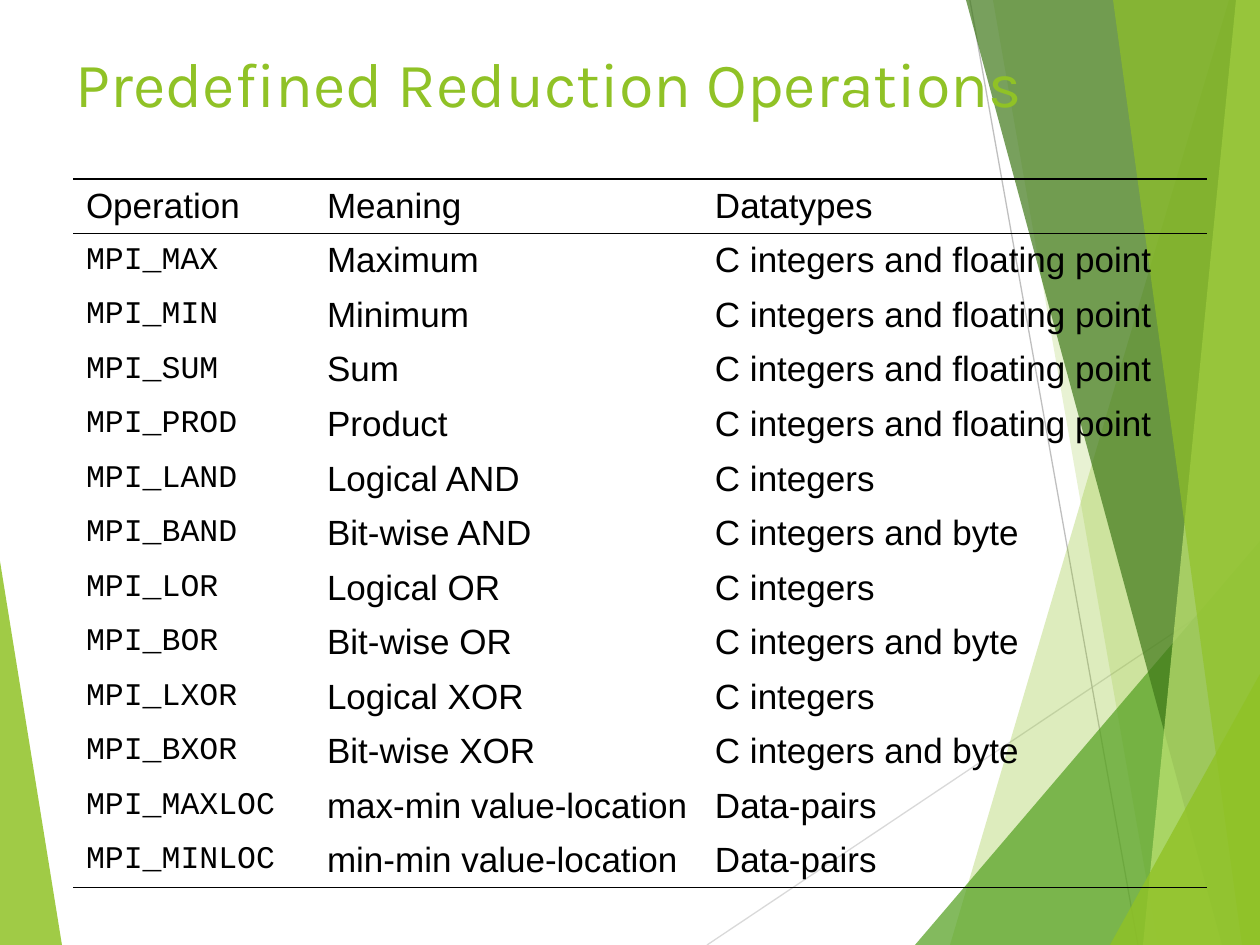
import pptx
import pptx.dml.color
import pptx.enum.shapes
import pptx.enum.text
import pptx.oxml
import pptx.oxml.ns
import pptx.util

PX = 914400 / 126
WIDE, HIGH = 1260, 945
COLORS = {"lime": "90C226", "leaf": "54A021", "pine": "3F7819", "pale": "C0E474",
          "ink": "000000", "silver": "D9D9D9", "gray": "BFBFBF"}

# Colour, opacity in percent, corners
SHARDS = [
    ("lime", 85, [(0, 561), (62, HIGH), (0, HIGH)]),
    ("lime", 30, [(1229, 0), (950, HIGH), (WIDE, HIGH), (WIDE, 0)]),
    ("lime", 20, [(993, 0), (1158, HIGH), (WIDE, HIGH), (WIDE, 0)]),
    ("leaf", 72, [(915, HIGH), (WIDE, 541), (WIDE, HIGH)]),
    ("pine", 70, [(966, 0), (1222, HIGH), (WIDE, HIGH), (WIDE, 0)]),
    ("pale", 70, [(1236, 0), (1143, HIGH), (WIDE, HIGH), (WIDE, 0)]),
    ("lime", 65, [(1113, 0), (1242, HIGH), (WIDE, HIGH), (WIDE, 0)]),
    ("lime", 80, [(1110, HIGH), (WIDE, 674), (WIDE, HIGH)]),
]
RAYS = [("silver", (707, HIGH), (WIDE, 575)), ("gray", (970, 0), (1138, HIGH))]

NUMBERS = "C integers and floating point"
WHOLE = "C integers"
BYTES = "C integers and byte"
PAIRS = "Data-pairs"
ROWS = [
    ("Operation", "Meaning", "Datatypes"),
    ("MPI_MAX", "Maximum", NUMBERS),
    ("MPI_MIN", "Minimum", NUMBERS),
    ("MPI_SUM", "Sum", NUMBERS),
    ("MPI_PROD", "Product", NUMBERS),
    ("MPI_LAND", "Logical AND", WHOLE),
    ("MPI_BAND", "Bit-wise AND", BYTES),
    ("MPI_LOR", "Logical OR", WHOLE),
    ("MPI_BOR", "Bit-wise OR", BYTES),
    ("MPI_LXOR", "Logical XOR", WHOLE),
    ("MPI_BXOR", "Bit-wise XOR", BYTES),
    ("MPI_MAXLOC", "max-min value-location", PAIRS),
    ("MPI_MINLOC", "min-min value-location", PAIRS),
]
COLUMNS = [241, 388, 505]


def emu(px):
    return pptx.util.Emu(round(px * PX))


def rgb(name):
    return pptx.dml.color.RGBColor.from_string(COLORS[name])


def child(parent, tag, **attrs):
    node = pptx.oxml.parse_xml(f"<a:{tag} {pptx.oxml.ns.nsdecls('a')}/>")
    for key, value in attrs.items():
        node.set(key, str(value))
    parent.append(node)
    return node


def write(para, text, font, size, color):
    run = para.add_run()
    run.text = text
    run.font.name = font
    run.font.size = pptx.util.Pt(size)
    run.font.color.rgb = rgb(color)


def add_shard(slide, left, top, color, alpha, points):
    pen = slide.shapes.build_freeform(*points[0], scale=PX)
    pen.add_line_segments(points[1:], close=True)
    shard = pen.convert_to_shape(emu(left), emu(top))
    shard.shadow.inherit = False
    shard.line.fill.background()
    shard.fill.solid()
    shard.fill.fore_color.rgb = rgb(color)
    tint = shard.fill._xPr.find(".//" + pptx.oxml.ns.qn("a:srgbClr"))
    child(tint, "alpha", val=alpha * 1000)


def add_ray(slide, left, top, color, start, end):
    ray = slide.shapes.add_connector(
        pptx.enum.shapes.MSO_CONNECTOR.STRAIGHT,
        emu(left + start[0]), emu(top + start[1]),
        emu(left + end[0]), emu(top + end[1]))
    ray.line.color.rgb = rgb(color)
    ray.line.width = pptx.util.Pt(0.75)
    child(ray.element.spPr, "effectLst")


def add_backdrop(slide, left, top):
    """Draw the overlapping green shards at both slide edges."""
    first, *rest = SHARDS
    add_shard(slide, left, top, *first)
    for ray in RAYS:
        add_ray(slide, left, top, *ray)
    for shard in rest:
        add_shard(slide, left, top, *shard)


def set_title(slide, left, top, width, height):
    title = slide.shapes.title
    title.left, title.top = emu(left), emu(top)
    title.width, title.height = emu(width), emu(height)
    frame = title.text_frame
    frame.word_wrap = True
    frame.auto_size = pptx.enum.text.MSO_AUTO_SIZE.NONE
    frame.vertical_anchor = pptx.enum.text.MSO_ANCHOR.TOP
    para = frame.paragraphs[0]
    para.alignment = pptx.enum.text.PP_ALIGN.LEFT
    write(para, "Predefined Reduction Operations", "Karla", 36, "lime")
    # Bring the title in front of the backdrop
    title.element.getparent().append(title.element)


def set_rules(cell, ruled):
    """Draw 1 pt rules on the sides in ruled and clear the others."""
    props = cell._tc.get_or_add_tcPr()
    for side in "LRTB":
        edge = child(props, "ln" + side, w=pptx.util.Pt(1))
        if side in ruled:
            child(child(edge, "solidFill"), "srgbClr", val=COLORS["ink"])
        else:
            child(edge, "noFill")


def add_grid(slide, left, top, width, height):
    grid = slide.shapes.add_table(len(ROWS), len(COLUMNS), emu(left), emu(top),
                                  emu(width), emu(height)).table
    grid.horz_banding = False
    for column, span in zip(grid.columns, COLUMNS):
        column.width = emu(width * span / sum(COLUMNS))
    for i, row in enumerate(ROWS):
        ruled = {0: "TB", 1: "T", len(ROWS) - 1: "B"}.get(i, "")
        for j, text in enumerate(row):
            cell = grid.cell(i, j)
            set_rules(cell, ruled)
            cell.fill.background()
            cell.vertical_anchor = pptx.enum.text.MSO_ANCHOR.MIDDLE
            cell.margin_left = cell.margin_right = emu(13)
            cell.margin_top = cell.margin_bottom = emu(6)
            code = i > 0 and j == 0
            font, size = ("Courier New", 18) if code else ("Arial", 20)
            write(cell.text_frame.paragraphs[0], text, font, size, "ink")


def main():
    deck = pptx.Presentation()
    deck.slide_width, deck.slide_height = emu(WIDE), emu(HIGH)
    slide = deck.slides.add_slide(deck.slide_layouts[5])
    add_backdrop(slide, 0, 0)
    set_title(slide, 63, 38, 1134, 158)
    add_grid(slide, 73, 179, 1134, 709)
    deck.save("out.pptx")


if __name__ == "__main__":
    main()
